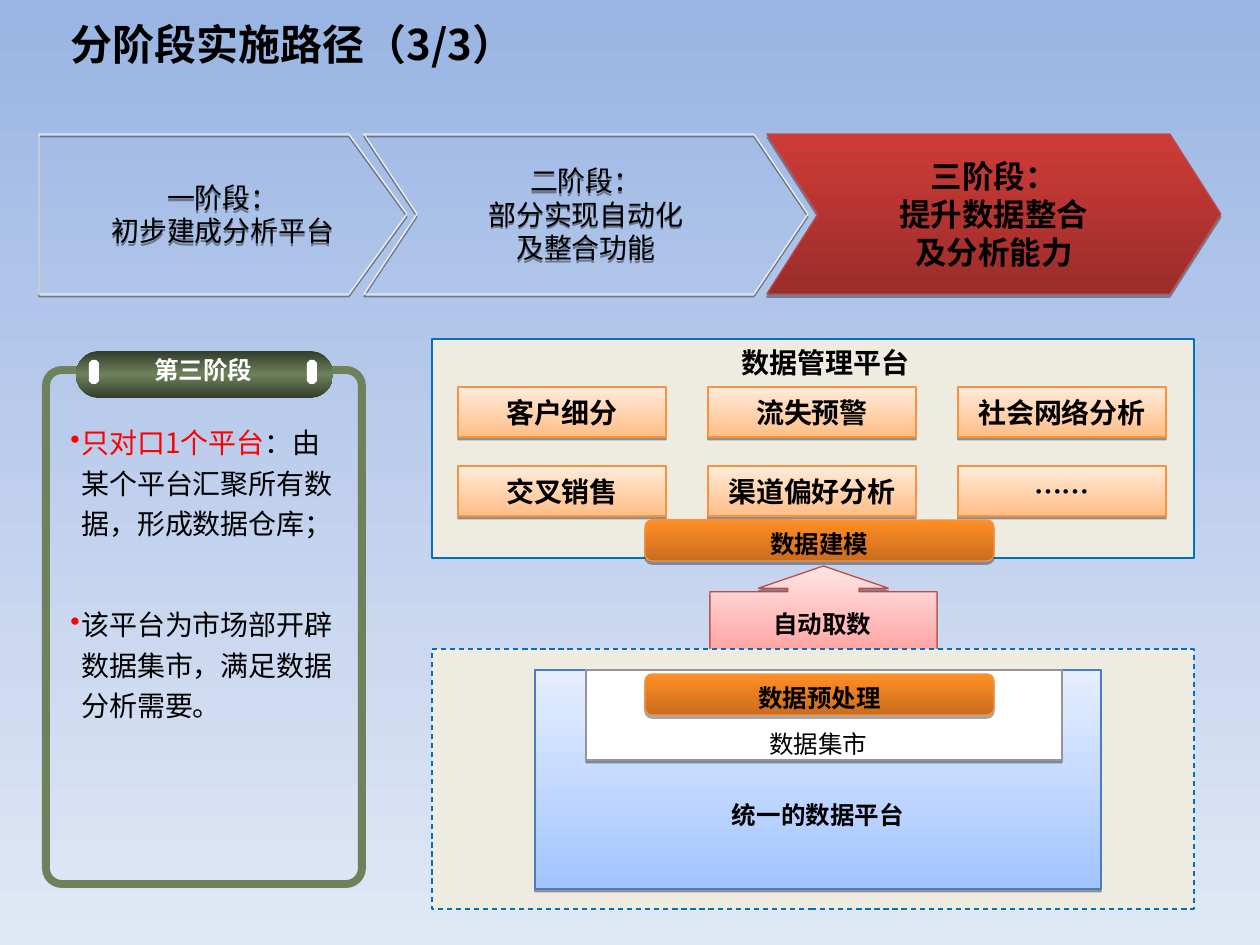
from copy import deepcopy
from lxml import etree
from pptx import Presentation
from pptx.dml.color import RGBColor
from pptx.enum.dml import MSO_LINE
from pptx.enum.shapes import MSO_SHAPE
from pptx.enum.text import MSO_ANCHOR, PP_ALIGN
from pptx.oxml.ns import qn
from pptx.util import Inches, Pt

RECT, ROUND = MSO_SHAPE.RECTANGLE, MSO_SHAPE.ROUNDED_RECTANGLE
CALLOUT, OCTAGON = MSO_SHAPE.UP_ARROW_CALLOUT, MSO_SHAPE.OCTAGON
LEFT, CENTER = PP_ALIGN.LEFT, PP_ALIGN.CENTER
MIDDLE, DASH = MSO_ANCHOR.MIDDLE, MSO_LINE.DASH
PX = 7257
FONT = "Noto Sans CJK SC"
BLACK, WHITE, RED = "000000", "FFFFFF", "FF0000"
BEIGE, BLUE, OLIVE, ORANGE = "EEECE1", "0070C0", "6E815B", "F69240"
rgb = RGBColor.from_string


def paint(shape, colors, line=None, width=0.75, shadow=None):
    if not colors:
        shape.fill.background()
    elif len(colors) == 1:
        shape.fill.solid()
        shape.fill.fore_color.rgb = rgb(colors[0])
    else:
        shape.fill.gradient()
        shape.fill.gradient_angle = 270
        stop_list = shape._element.spPr.find(".//" + qn("a:gsLst"))
        for _ in colors[2:]:
            stop_list.append(deepcopy(stop_list[-1]))
        for index, (stop, color) in enumerate(zip(shape.fill.gradient_stops, colors)):
            stop.color.rgb = rgb(color)
            stop.position = index / (len(colors) - 1)
    if line:
        shape.line.color.rgb = rgb(line)
        shape.line.width = Pt(width)
    else:
        shape.line.fill.background()
    shape.shadow.inherit = False
    if shadow:
        distance, alpha = shadow
        effects = shape._element.spPr.find(qn("a:effectLst"))
        outer = etree.SubElement(effects, qn("a:outerShdw"), blurRad="0",
                                 dist=str(Pt(distance)), dir="5400000", rotWithShape="0")
        shade = etree.SubElement(outer, qn("a:srgbClr"), val=BLACK)
        etree.SubElement(shade, qn("a:alpha"), val=str(alpha * 1000))


def write(shape, lines, size, color=BLACK, bold=False, frame_format=None, paragraph_format=None):
    frame = shape.text_frame
    for name, value in {"word_wrap": True, **(frame_format or {})}.items():
        setattr(frame, name, value)
    for index, line in enumerate(lines):
        paragraph = frame.add_paragraph() if index else frame.paragraphs[0]
        for name, value in {"alignment": CENTER, **(paragraph_format or {})}.items():
            setattr(paragraph, name, value)
        for text in line:
            run = paragraph.add_run()
            run.text = text
            for name, value in {"size": Pt(size), "bold": bold, "name": FONT}.items():
                setattr(run.font, name, value)
            run.font.color.rgb = rgb(color)
            etree.SubElement(run._r.get_or_add_rPr(), qn("a:ea"), typeface=FONT)


SOFT, STRONG = (1.6, 38), (1.8, 35)

presentation = Presentation()
presentation.slide_width, presentation.slide_height = Inches(10), Inches(7.5)
slide = presentation.slides.add_slide(presentation.slide_layouts[5])
shapes = slide.shapes

background = slide.background.fill
background.gradient()
background.gradient_angle = 270
for stop, color in zip(background.gradient_stops, ["9AB5E4", "E1E8F5"]):
    stop.color.rgb = rgb(color)

title = shapes.title
for name, value in {"left": 58, "top": 13, "width": 1145, "height": 72}.items():
    setattr(title, name, value * PX)
write(title, [["分阶段实施路径（3/3）"]], 24, bold=True,
      frame_format={"vertical_anchor": MIDDLE, "margin_top": PX, "margin_bottom": 11 * PX},
      paragraph_format={"alignment": LEFT})

TOP, CENTRE, BOTTOM = 134, 214, 294
stages = [
    (39, 349, 407, 39, [["一阶段："], ["初步建成分析平台"]], False),
    (364, 754, 808, 417, [["二阶段："], ["部分实现自动化"], ["及整合功能"]], False),
    (767, 1170, 1221, 818, [["三阶段："], ["提升数据整合"], ["及分析能力"]], True),
]
for left, shoulder, tip, notch, lines, current in stages:
    outline = shapes.build_freeform(left, TOP, scale=PX)
    points = [(shoulder, TOP), (tip, CENTRE), (shoulder, BOTTOM), (left, BOTTOM)]
    if notch > left:
        points.append((notch, CENTRE))
    outline.add_line_segments(points)
    stage = outline.convert_to_shape()
    if current:
        paint(stage, ["CE3B37", "9B2D2A"], "BE4B48", shadow=STRONG)
    else:
        paint(stage, [], BEIGE, shadow=SOFT)
    write(stage, lines, 18 if current else 16, bold=current)

panels = [
    (CALLOUT, (710, 566, 227, 89), ["FFE5E5", "FFA2A1"], "BE4B48", SOFT),
    (RECT, (432, 649, 762, 260), [BEIGE], BLUE, None),
    (RECT, (535, 670, 566, 219), ["E5EEFF", "A3C4FF"], "4A7EBB", SOFT),
    (RECT, (432, 339, 762, 219), [BEIGE], BLUE, None),
    (RECT, (586, 670, 476, 90), [WHITE], "969696", SOFT),
]
drawn = []
for kind, box, colors, line, shadow in panels:
    panel = shapes.add_shape(kind, *[value * PX for value in box])
    paint(panel, colors, line, shadow=shadow)
    drawn.append(panel)
arrow, data_area, data_platform, management, data_mart = drawn
for index, value in enumerate([0.8, 0.73, 0.25, 0.71]):
    arrow.adjustments[index] = value
data_area.line.dash_style = DASH
write(data_platform, [["统一的数据平台"]], 14, bold=True,
      frame_format={"margin_top": 70 * PX}, paragraph_format={"line_spacing": 1.2})

applications = ["客户细分", "流失预警", "社会网络分析", "交叉销售", "渠道偏好分析", "……"]
for index, name in enumerate(applications):
    row, column = divmod(index, 3)
    cell = shapes.add_shape(RECT, (458 + 250 * column) * PX, (387 + 79 * row) * PX,
                            208 * PX, 50 * PX)
    paint(cell, ["FFEBDB", "FFBE86"], ORANGE, shadow=SOFT)
    write(cell, [[name]], 16, bold=True, frame_format={"word_wrap": False})

for name, top in [("数据建模", 520), ("数据预处理", 674)]:
    button = shapes.add_shape(ROUND, 645 * PX, top * PX, 349 * PX, 41 * PX)
    paint(button, ["FF8F26", "CB6C1D"], ORANGE, shadow=STRONG)
    write(button, [[name]], 14, bold=True, paragraph_format={"line_spacing": 1.2})

border = shapes.add_shape(ROUND, 46 * PX, 370 * PX, 316 * PX, 514 * PX)
border.adjustments[0] = 0.05
paint(border, [], OLIVE, 4.5)
header = shapes.add_shape(ROUND, 76 * PX, 351 * PX, 257 * PX, 47 * PX)
header.adjustments[0] = 0.5
paint(header, ["333C2A", OLIVE, "333C2A"])
for left in (89, 307):
    rivet = shapes.add_shape(OCTAGON, left * PX, 360 * PX, 10 * PX, 24 * PX)
    paint(rivet, [WHITE])

labels = [
    ("自动取数", (701, 606, 243, 30), 14, BLACK, True, {"line_spacing": 0.9}),
    ("第三阶段", (133, 349, 141, 43), 14, WHITE, True, {}),
    ("数据管理平台", (673, 339, 305, 47), 16, BLACK, True, {}),
    ("数据集市", (757, 723, 141, 43), 14, BLACK, False, {"alignment": LEFT}),
]
for text, box, size, color, bold, paragraph_format in labels:
    label = shapes.add_textbox(*[value * PX for value in box])
    write(label, [[text]], size, color, bold, paragraph_format=paragraph_format)

notes = shapes.add_textbox(58 * PX, 413 * PX, 294 * PX, 316 * PX)
write(notes, [["只对口1个平台", "：由某个平台汇聚所有数据，形成数据仓库；"],
              ["该平台为市场部开辟数据集市，满足数据分析需要。"]], 16,
      paragraph_format={"alignment": LEFT, "line_spacing": 1.2, "space_after": Pt(6)})
first, second = notes.text_frame.paragraphs
first.runs[0].font.color.rgb = rgb(RED)
second.space_before = Pt(29)
for paragraph in (first, second):
    properties = paragraph._p.get_or_add_pPr()
    properties.set("marL", str(11 * PX))
    properties.set("indent", str(-11 * PX))
    bullet_color = etree.SubElement(properties, qn("a:buClr"))
    etree.SubElement(bullet_color, qn("a:srgbClr"), val=RED)
    etree.SubElement(properties, qn("a:buChar"), char="•")

presentation.save("out.pptx")
